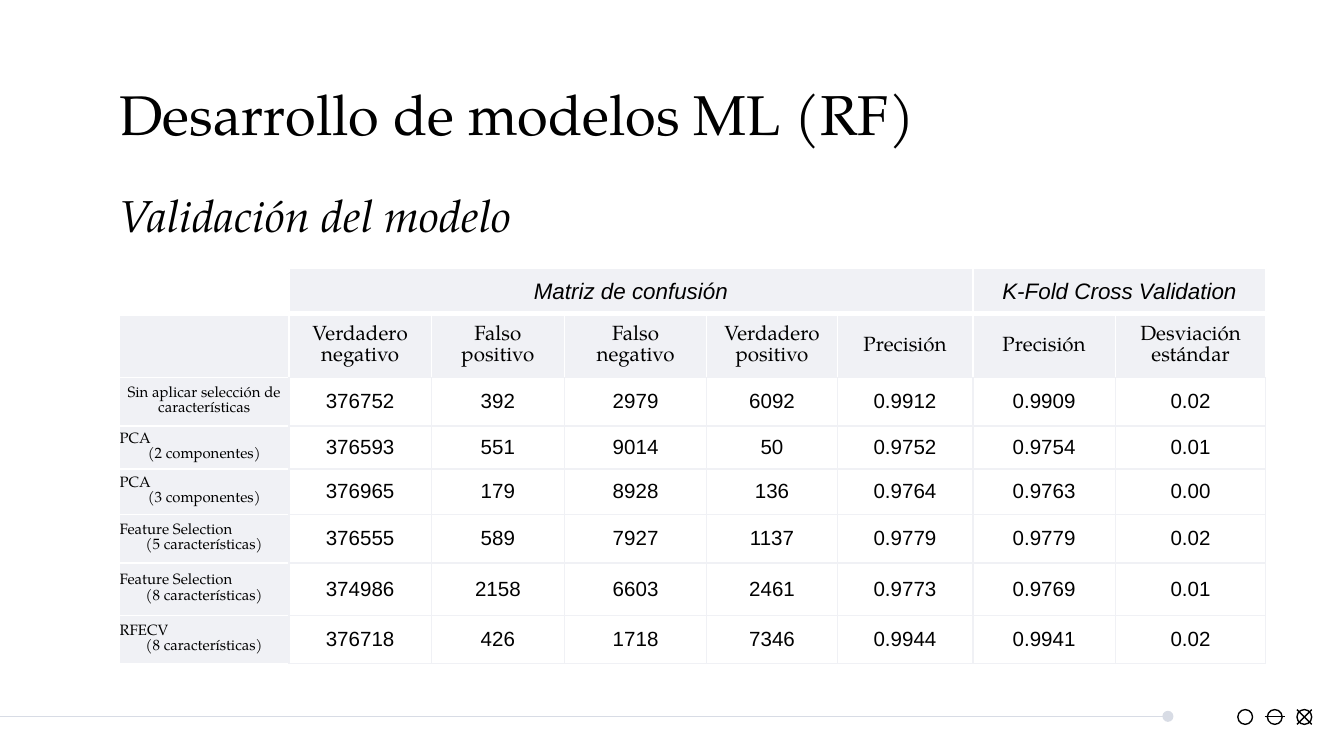
from dataclasses import dataclass

from lxml import etree
from pptx import Presentation
from pptx.dml.color import RGBColor
from pptx.enum.shapes import MSO_CONNECTOR, MSO_SHAPE
from pptx.enum.text import MSO_ANCHOR, MSO_AUTO_SIZE, PP_ALIGN
from pptx.oxml.ns import qn
from pptx.util import Inches, Pt

LEFT, CENTER = PP_ALIGN.LEFT, PP_ALIGN.CENTER
TOP, MIDDLE, BOTTOM = MSO_ANCHOR.TOP, MSO_ANCHOR.MIDDLE, MSO_ANCHOR.BOTTOM
NO_AUTOFIT = MSO_AUTO_SIZE.NONE
STRAIGHT = MSO_CONNECTOR.STRAIGHT
OVAL, RECTANGLE = MSO_SHAPE.OVAL, MSO_SHAPE.RECTANGLE

SLIDE_WIDTH = Inches(10)
SLIDE_HEIGHT = SLIDE_WIDTH * 9 // 16
COLUMN = ROW = SLIDE_WIDTH // 1000


@dataclass(frozen=True)
class Theme:
    ink: str = "000000"
    paper: str = "FFFFFF"
    panel: str = "F0F1F5"
    rule: str = "D8DCE5"
    serif: str = "TeX Gyre Pagella"
    sans: str = "Arial"
    title: int = 30
    subtitle: int = 24
    group: int = 12
    cell: int = 11
    label: int = 8
    line: float = 0.75


@dataclass(frozen=True)
class Box:
    left: int
    top: int
    width: int
    height: int

    def emu(self):
        return (self.left * COLUMN, self.top * ROW,
                self.width * COLUMN, self.height * ROW)


THEME = Theme()
COLUMN_SPANS = [126, 106, 99, 106, 97, 101, 106, 112]
ROW_SPANS = [46, 36, 32, 34, 36, 39, 36]
HEADINGS = ["", "Verdadero negativo", "Falso positivo", "Falso negativo",
            "Verdadero positivo", "Precisión", "Precisión", "Desviación estándar"]
RESULTS = [
    ("Sin aplicar selección de características",
     "376752", "392", "2979", "6092", "0.9912", "0.9909", "0.02"),
    ("PCA\n(2 componentes)",
     "376593", "551", "9014", "50", "0.9752", "0.9754", "0.01"),
    ("PCA\n(3 componentes)",
     "376965", "179", "8928", "136", "0.9764", "0.9763", "0.00"),
    ("Feature Selection\n(5 características)",
     "376555", "589", "7927", "1137", "0.9779", "0.9779", "0.02"),
    ("Feature Selection\n(8 características)",
     "374986", "2158", "6603", "2461", "0.9773", "0.9769", "0.01"),
    ("RFECV\n(8 características)",
     "376718", "426", "1718", "7346", "0.9944", "0.9941", "0.02"),
]


def color(value):
    return RGBColor.from_string(value)


def write(frame, text, size, face, align=LEFT, italic=False):
    frame.text = text
    for paragraph in frame.paragraphs:
        paragraph.alignment = align
        for run in paragraph.runs:
            run.font.size = Pt(size)
            run.font.name = face
            run.font.italic = italic
            run.font.bold = False
            run.font.color.rgb = color(THEME.ink)


def set_frame(frame, anchor):
    frame.word_wrap = True
    frame.auto_size = NO_AUTOFIT
    frame.vertical_anchor = anchor
    frame.margin_left = frame.margin_right = Inches(0.1)
    frame.margin_top = frame.margin_bottom = Inches(0.1)


def add_line(slide, start, end, stroke, tail=None):
    line = slide.shapes.add_connector(
        STRAIGHT, start[0] * COLUMN, start[1] * ROW, end[0] * COLUMN, end[1] * ROW)
    line.line.color.rgb = color(stroke)
    line.line.width = Pt(THEME.line)
    if tail:
        etree.SubElement(line.line._get_or_add_ln(), qn("a:tailEnd"), type=tail)
    etree.SubElement(line._element.spPr, qn("a:effectLst"))


def add_outlined(slide, kind, box, stroke, fill=None):
    shape = slide.shapes.add_shape(kind, *box.emu())
    shape.shadow.inherit = False
    shape.line.color.rgb = color(stroke)
    shape.line.width = Pt(THEME.line)
    if fill:
        shape.fill.solid()
        shape.fill.fore_color.rgb = color(fill)
    else:
        shape.fill.background()
    return shape


def add_footer(slide, box):
    middle = box.top + box.height // 2
    add_line(slide, (0, middle), (869, middle), THEME.rule, "oval")
    size, step = box.height, 22
    plain, crossed, closed = (box.left + step * index for index in range(3))
    for left in (plain, crossed, closed):
        add_outlined(slide, OVAL, Box(left, box.top, size, size), THEME.ink)
    right, bottom = closed + size, box.top + size
    for start, end in [((crossed - 2, middle), (crossed + size + 2, middle)),
                       ((closed, bottom), (right, box.top)),
                       ((right, bottom), (closed, box.top))]:
        add_line(slide, start, end, THEME.ink)


def add_headings(slide, title_box, subtitle_box):
    title = slide.shapes.title
    title.left, title.top, title.width, title.height = title_box.emu()
    set_frame(title.text_frame, TOP)
    write(title.text_frame, "Desarrollo de modelos ML (RF)", THEME.title, THEME.serif)
    subtitle = slide.shapes.add_textbox(*subtitle_box.emu())
    set_frame(subtitle.text_frame, BOTTOM)
    write(subtitle.text_frame, "Validación del modelo",
          THEME.subtitle, THEME.serif, italic=True)


def set_borders(cell, **strokes):
    properties = cell._tc.get_or_add_tcPr()
    for index, side in enumerate("LRTB"):
        edge = etree.Element(qn(f"a:ln{side}"), w=str(Pt(THEME.line)))
        fill = etree.SubElement(edge, qn("a:solidFill"))
        etree.SubElement(fill, qn("a:srgbClr"), val=strokes[side])
        properties.insert(index, edge)


def format_cell(cell, text, row, column):
    is_heading, is_label = row == 0, column == 0
    is_panel = is_heading or is_label
    face = THEME.serif if is_panel else THEME.sans
    size = THEME.label if is_label else THEME.cell
    write(cell.text_frame, text, size, face, CENTER)
    if "\n" in text:
        cell.text_frame.paragraphs[0].alignment = LEFT
    cell.vertical_anchor = MIDDLE
    cell.margin_left = cell.margin_right = Inches(0.1 if is_heading else 0)
    cell.margin_top = cell.margin_bottom = Inches(0.07 if is_heading else 0)
    cell.fill.solid()
    cell.fill.fore_color.rgb = color(THEME.panel if is_panel else THEME.paper)
    edge = THEME.paper if is_panel else THEME.panel
    set_borders(cell, L=edge, T=edge,
                R=edge if is_heading else THEME.panel,
                B=edge if is_label else THEME.panel)


def add_results(slide, box):
    rows = [HEADINGS, *RESULTS]
    table = slide.shapes.add_table(len(rows), len(HEADINGS), *box.emu()).table
    table.first_row = table.horz_banding = False
    for column, span in zip(table.columns, COLUMN_SPANS):
        column.width = span * COLUMN
    for row, span in zip(table.rows, ROW_SPANS):
        row.height = span * ROW
    for row, values in enumerate(rows):
        for column, text in enumerate(values):
            format_cell(table.cell(row, column), text, row, column)


def add_groups(slide, box):
    left = box.left + COLUMN_SPANS[0]
    for text, spans in [("Matriz de confusión", COLUMN_SPANS[1:6]),
                        ("K-Fold Cross Validation", COLUMN_SPANS[6:])]:
        width = sum(spans)
        group = add_outlined(slide, RECTANGLE, Box(left, box.top, width, box.height),
                             THEME.paper, THEME.panel)
        set_frame(group.text_frame, MIDDLE)
        write(group.text_frame, text, THEME.group, THEME.sans, CENTER, italic=True)
        left += width


def main():
    deck = Presentation()
    deck.slide_width, deck.slide_height = SLIDE_WIDTH, SLIDE_HEIGHT
    slide = deck.slides.add_slide(deck.slide_layouts[5])
    table_width = sum(COLUMN_SPANS)
    add_footer(slide, Box(921, 528, 11, 11))
    add_headings(slide, Box(79, 49, 843, 63), Box(79, 129, 564, 61))
    add_results(slide, Box(89, 235, table_width, sum(ROW_SPANS)))
    add_groups(slide, Box(89, 200, table_width, 32))
    deck.save("out.pptx")


if __name__ == "__main__":
    main()
